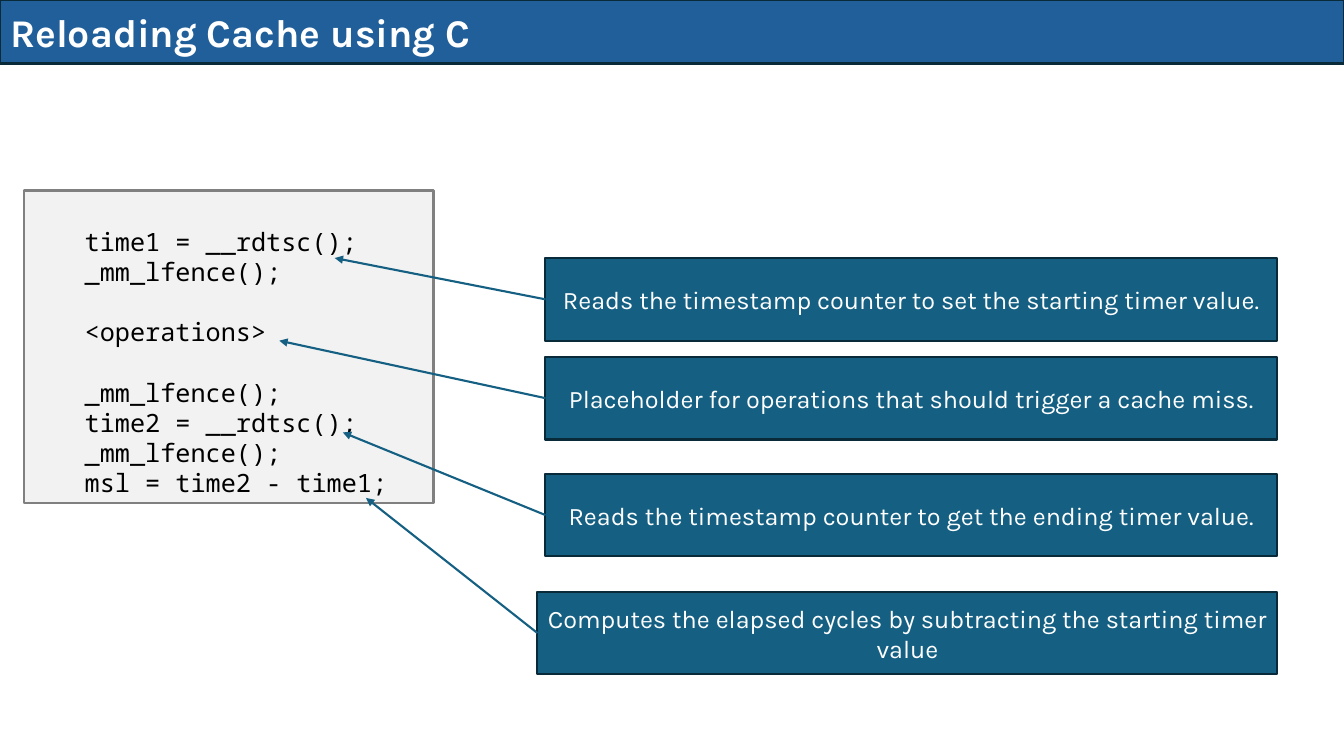
from dataclasses import dataclass

from lxml.etree import SubElement
from pptx import Presentation
from pptx.dml.color import RGBColor
from pptx.enum.shapes import MSO_CONNECTOR, MSO_SHAPE
from pptx.enum.text import MSO_ANCHOR, MSO_AUTO_SIZE, PP_ALIGN
from pptx.oxml.ns import qn
from pptx.util import Inches, Pt

TITLE = "Reloading Cache using C"

# Blocks of code, set apart by one empty line
CODE_BLOCKS = [
    ["time1 = __rdtsc();", "_mm_lfence();"],
    ["<operations>"],
    ["_mm_lfence();", "time2 = __rdtsc();", "_mm_lfence();", "msl = time2 - time1;"],
]

# Text, left edge, top edge, arrow tip in the code
NOTES = [
    ("Reads the timestamp counter to set the starting timer value.",
     5.41, 2.56, (3.32, 2.56)),
    ("Placeholder for operations that should trigger a cache miss.",
     5.41, 3.54, (2.77, 3.38)),
    ("Reads the timestamp counter to get the ending timer value.",
     5.41, 4.7, (3.4, 4.29)),
    ("Computes the elapsed cycles by subtracting the starting timer value",
     5.33, 5.87, (3.63, 4.94)),
]


@dataclass(frozen=True)
class Theme:
    banner: str = "215F9A"
    note: str = "156082"
    outline: str = "092A39"
    code_fill: str = "F2F2F2"
    code_outline: str = "808080"
    light: str = "FFFFFF"
    dark: str = "000000"
    text_font: str = "Karla"
    code_font: str = "Noto Sans Mono"
    title_size: int = 28
    body_size: int = 18
    stroke: float = 1.5


THEME = Theme()
SLIDE_WIDTH, SLIDE_HEIGHT = 13.33, 7.5
BANNER_HEIGHT = 0.63
CODE_AREA = (0.24, 1.89, 4.06, 3.1)
CODE_INDENT = 0.6
CODE_LINE = 0.3
NOTE_RIGHT, NOTE_HEIGHT = 12.67, 0.82
LEFT_SIDE = 1  # connection site of a rectangle


def paint(panel, fill, outline):
    panel.fill.solid()
    panel.fill.fore_color.rgb = RGBColor.from_string(fill)
    panel.line.color.rgb = RGBColor.from_string(outline)
    panel.line.width = Pt(THEME.stroke)


def write(panel, lines, font_name, size, color, align=PP_ALIGN.LEFT, bold=False):
    frame = panel.text_frame
    frame.text = "\n".join(lines)
    frame.word_wrap = True
    frame.auto_size = MSO_AUTO_SIZE.NONE
    frame.vertical_anchor = MSO_ANCHOR.MIDDLE
    for paragraph in frame.paragraphs:
        paragraph.alignment = align
        for run in paragraph.runs:
            run.font.name = font_name
            run.font.size = Pt(size)
            run.font.bold = bold
            run.font.color.rgb = RGBColor.from_string(color)


def add_panel(slide, area, fill, outline):
    panel = slide.shapes.add_shape(MSO_SHAPE.RECTANGLE, *map(Inches, area))
    panel.shadow.inherit = False
    paint(panel, fill, outline)
    return panel


def add_banner(slide):
    banner = slide.shapes.title
    banner.left = banner.top = 0
    banner.width, banner.height = Inches(SLIDE_WIDTH), Inches(BANNER_HEIGHT)
    paint(banner, THEME.banner, THEME.outline)
    write(banner, [TITLE], THEME.text_font, THEME.title_size, THEME.light, bold=True)


def add_code(slide):
    listing = add_panel(slide, CODE_AREA, THEME.code_fill, THEME.code_outline)
    lines = [line for block in CODE_BLOCKS for line in block]
    write(listing, lines, THEME.code_font, THEME.body_size, THEME.dark)
    frame = listing.text_frame
    frame.margin_left = Inches(CODE_INDENT)
    frame.margin_top += Inches(CODE_LINE)
    block_start = 0
    for block in CODE_BLOCKS[:-1]:
        block_start += len(block)
        frame.paragraphs[block_start].space_before = Inches(CODE_LINE)


def add_arrow(slide, note, tip):
    tip_x, tip_y = map(Inches, tip)
    arrow = slide.shapes.add_connector(
        MSO_CONNECTOR.STRAIGHT, note.left, note.top + note.height // 2, tip_x, tip_y)
    arrow.begin_connect(note, LEFT_SIDE)
    arrow.line.color.rgb = RGBColor.from_string(THEME.note)
    arrow.line.width = Pt(THEME.stroke)
    SubElement(arrow.line._get_or_add_ln(), qn("a:tailEnd"), type="triangle")
    SubElement(arrow._element.spPr, qn("a:effectLst"))


def add_notes(slide):
    for text, left, top, tip in NOTES:
        area = (left, top, NOTE_RIGHT - left, NOTE_HEIGHT)
        note = add_panel(slide, area, THEME.note, THEME.outline)
        write(note, [text], THEME.text_font, THEME.body_size, THEME.light,
              align=PP_ALIGN.CENTER)
        add_arrow(slide, note, tip)


def main():
    deck = Presentation()
    deck.slide_width, deck.slide_height = Inches(SLIDE_WIDTH), Inches(SLIDE_HEIGHT)
    slide = deck.slides.add_slide(deck.slide_layouts.get_by_name("Title Only"))
    add_banner(slide)
    add_code(slide)
    add_notes(slide)
    deck.save("out.pptx")


if __name__ == "__main__":
    main()
